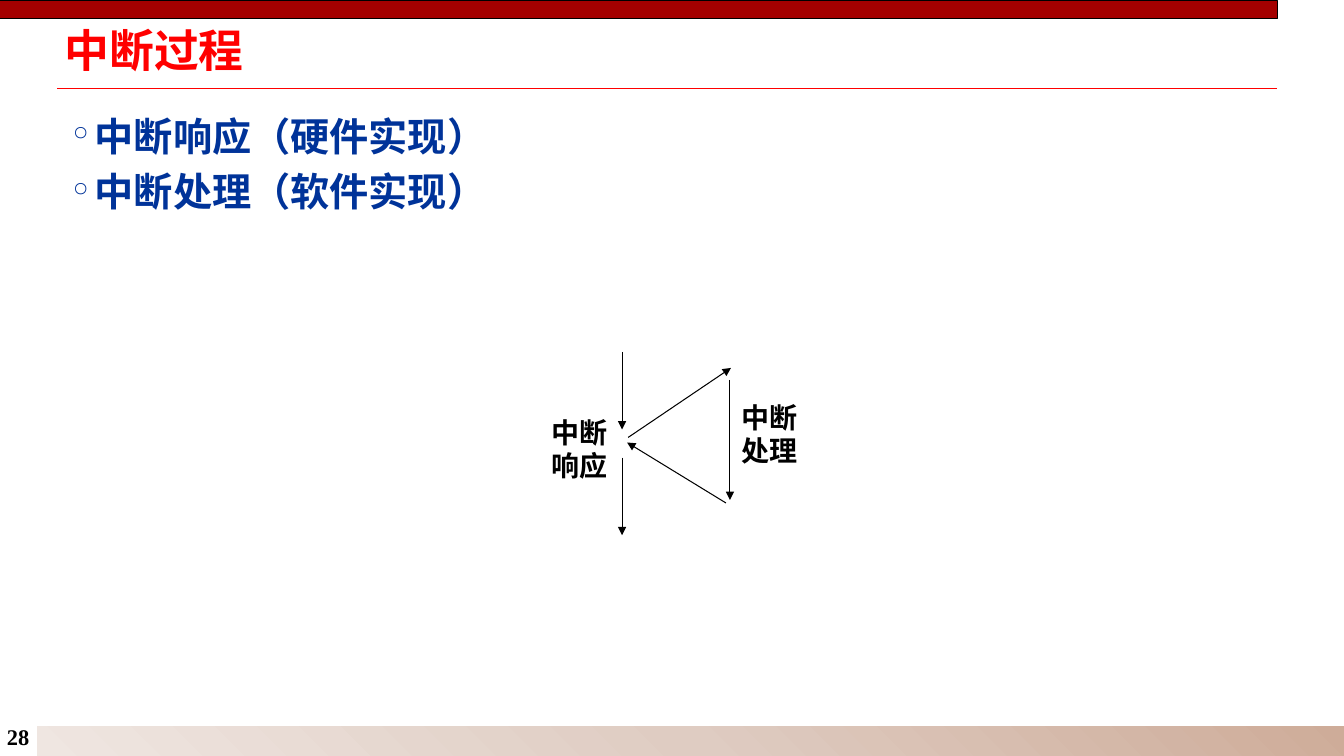
from copy import deepcopy

from pptx import Presentation
from pptx.dml.color import RGBColor
from pptx.enum.shapes import MSO_CONNECTOR, MSO_SHAPE
from pptx.oxml.ns import qn
from pptx.util import Inches, Pt
from lxml.etree import SubElement

BLACK = RGBColor(0x00, 0x00, 0x00)
WHITE = RGBColor(0xFF, 0xFF, 0xFF)
RED = RGBColor(0xFF, 0x00, 0x00)
DARK_RED = RGBColor(0xA4, 0x00, 0x00)
BLUE = RGBColor(0x00, 0x33, 0x99)
FOOTER_STOPS = [(0, RGBColor(0xCE, 0xAC, 0x99)),
                (0.5, RGBColor(0xDF, 0xCC, 0xC2)),
                (1, RGBColor(0xEF, 0xE6, 0xE1))]
SANS = "Noto Sans CJK SC"
SERIF = "Times New Roman"


def add_text(slide, box, lines, size, color, font, inset=(0.1, 0.05), wrap=True):
    """Add a text box with one bold paragraph per line and return its paragraphs."""
    tf = slide.shapes.add_textbox(*map(Inches, box)).text_frame
    tf.word_wrap = wrap
    tf.margin_left = tf.margin_right = Inches(inset[0])
    tf.margin_top = tf.margin_bottom = Inches(inset[1])
    for i, line in enumerate(lines):
        p = tf.add_paragraph() if i else tf.paragraphs[0]
        r = p.add_run()
        r.text = line
        for name, value in dict(size=Pt(size), bold=True, name=font).items():
            setattr(r.font, name, value)
        r.font.color.rgb = color
        SubElement(r.font._element, qn("a:ea"), typeface=SANS)
    return tf.paragraphs


def add_bar(slide, box, line_color):
    s = slide.shapes.add_shape(MSO_SHAPE.RECTANGLE, *map(Inches, box))
    s.shadow.inherit = False
    s.line.color.rgb = line_color
    s.line.width = Pt(0.75)
    return s


def add_line(slide, start, end, color=BLACK, width=0.75, arrow=True):
    c = slide.shapes.add_connector(MSO_CONNECTOR.STRAIGHT, *map(Inches, start + end))
    c.line.color.rgb = color
    c.line.width = Pt(width)
    if arrow:
        SubElement(c.line._get_or_add_ln(), qn("a:tailEnd"), type="triangle")
    SubElement(c._element.spPr, qn("a:effectLst"))


def add_header(slide, left, width, title):
    right = 12.67
    bar = add_bar(slide, (0, 0.01, right, 0.17), BLACK)
    bar.fill.solid()
    bar.fill.fore_color.rgb = DARK_RED
    add_line(slide, (left, 0.88), (right, 0.88), RED, 1, arrow=False)
    p, = add_text(slide, (left, 0.27, width, 0.52), [title], 32, RED, SANS, (0.07, 0.03))
    p.line_spacing = 0.87


def add_footer(slide, top, number):
    fill = add_bar(slide, (0.36, top, 12.99, 0.31), WHITE).fill
    fill.gradient()
    fill.gradient_angle = 225
    first = fill.gradient_stops[0]._gs
    first.addnext(deepcopy(first))
    for stop, (position, color) in zip(fill.gradient_stops, FOOTER_STOPS):
        stop.position = position
        stop.color.rgb = color
    add_text(slide, (-0.03, top - 0.08, 0.43, 0.34), [number], 16, BLACK, SERIF, wrap=False)


def add_bullets(slide, box, lines):
    indent = Inches(0.22)
    for p in add_text(slide, box, lines, 28, BLUE, SANS, (0.07, 0.03)):
        p.space_before = Pt(6)
        pPr = p._p.get_or_add_pPr()
        pPr.set("marL", str(indent))
        pPr.set("indent", str(-indent))
        SubElement(pPr, qn("a:buChar"), char="°")


def add_interrupt_flow(slide, left, top):
    """Draw the main program line with its detour through the handler."""
    main, handler = left + 0.8, left + 1.87
    for y in (top, top + 1.05):
        add_line(slide, (main, y), (main, y + 0.77))
    add_line(slide, (main + 0.06, top + 0.85), (handler + 0.01, top + 0.16))
    add_line(slide, (handler, top + 0.28), (handler, top + 1.47))
    add_line(slide, (handler - 0.04, top + 1.5), (main + 0.05, top + 0.9))
    add_text(slide, (handler + 0.02, top + 0.43, 0.82, 0.77), ["中断处理"], 20, BLACK, SERIF)
    add_text(slide, (left, top + 0.58, 0.98, 0.77), ["中断响应"], 20, BLACK, SERIF)


def main():
    prs = Presentation()
    prs.slide_width, prs.slide_height = Inches(13.33), Inches(7.5)
    slide = prs.slides.add_slide(prs.slide_layouts[6])
    add_footer(slide, 7.2, "28")
    add_header(slide, 0.57, 12.02, "中断过程")
    add_bullets(slide, (0.65, 1.08, 11.94, 1.64),
                ["中断响应（硬件实现）", "中断处理（软件实现）"])
    add_interrupt_flow(slide, 5.37, 3.49)
    prs.save("out.pptx")


if __name__ == "__main__":
    main()
